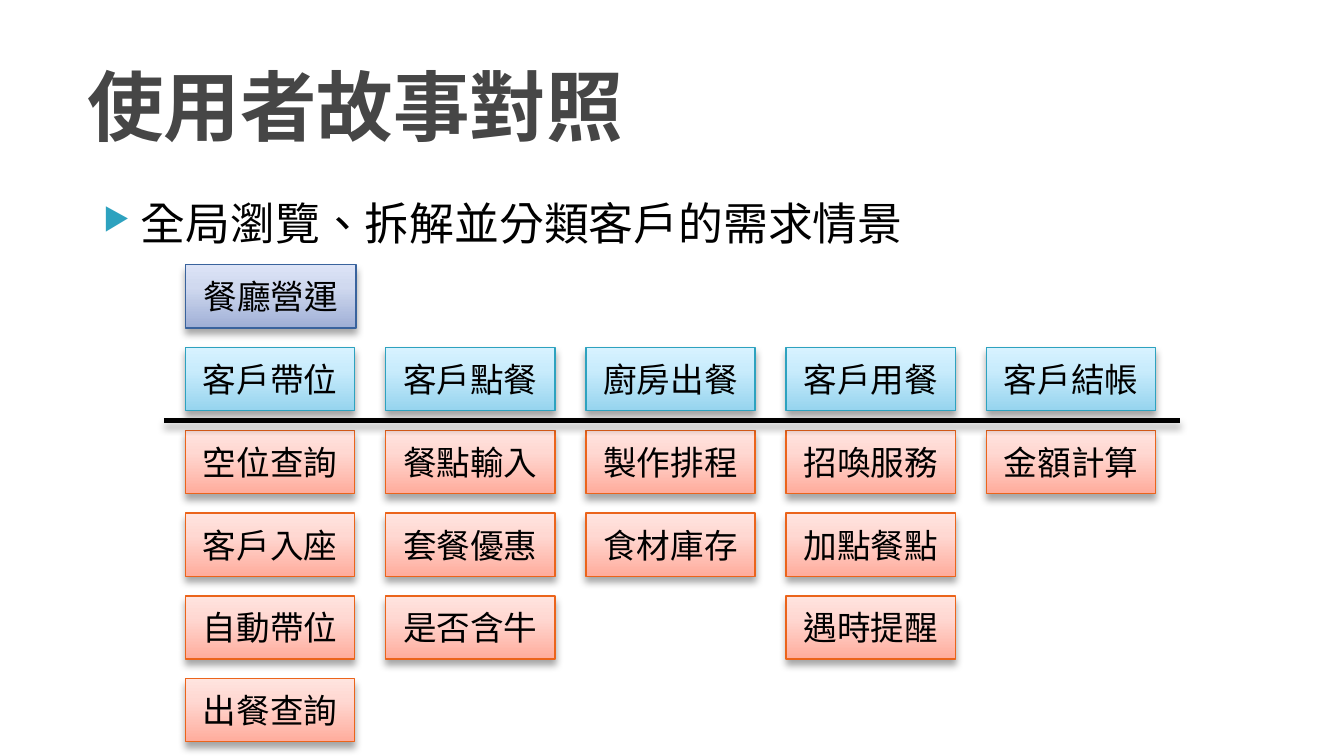
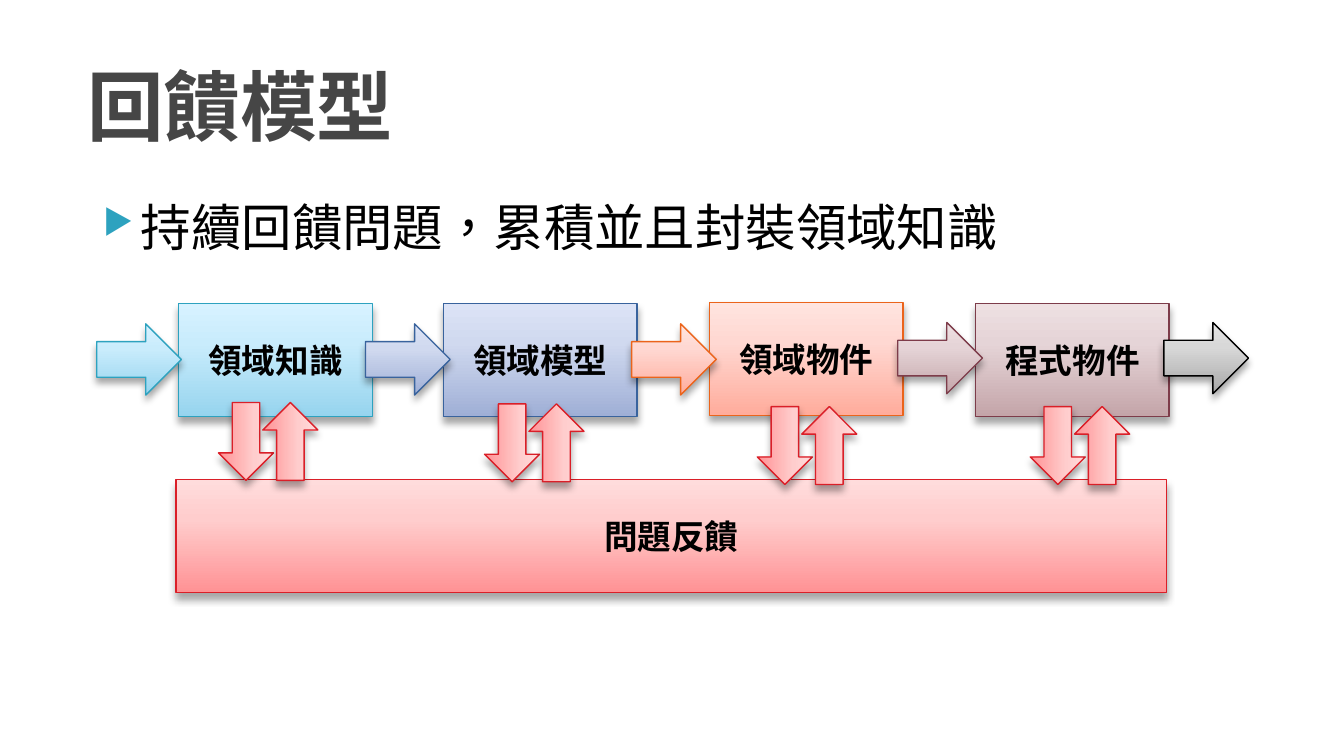
from pptx import Presentation
from pptx.dml.color import RGBColor
from pptx.enum.shapes import MSO_CONNECTOR as CONNECTOR, MSO_SHAPE as SHAPE
from pptx.enum.text import MSO_ANCHOR as ANCHOR, PP_ALIGN as ALIGN
from pptx.oxml import parse_xml
from pptx.oxml.ns import nsdecls, qn
from pptx.util import Inches, Pt

FONT = "Courier New"
LANGUAGE = "zh-TW"
BLACK = RGBColor(0x00, 0x00, 0x00)
TITLE_GREY = RGBColor(0x46, 0x46, 0x46)
BULLET_TEAL = RGBColor(0x2D, 0xA2, 0xBF)


def scheme(line, *stops):
    """Return a line colour with the gradient colours from bottom to top."""
    return RGBColor.from_string(line), [RGBColor.from_string(stop) for stop in stops]


TEAL = scheme("2DA2BF", "96D4EE", "C9ECFC", "D7F2FF")
BLUE = scheme("39639D", "9FAFD6", "D0D9EF", "DCE3F6")
ORANGE = scheme("EB641B", "FFAC9C", "FFD8D2", "FFE4DF")
PLUM = scheme("7D3C4A", "C4A5A9", "E5D4D7", "EEE0E2")
GREY = scheme("000000", "A7A7A7", "D8D8D8", "E4E4E4")
RED = scheme("DA1F28", "FF9294", "FFCDCD", "FFDCDC")
STOP_PLACES = (0, 65, 100)

STORY_COLUMNS = [
    ("客戶帶位", ["空位查詢", "客戶入座", "自動帶位", "出餐查詢"]),
    ("客戶點餐", ["餐點輸入", "套餐優惠", "是否含牛"]),
    ("廚房出餐", ["製作排程", "食材庫存"]),
    ("客戶用餐", ["招喚服務", "加點餐點", "遇時提醒"]),
    ("客戶結帳", ["金額計算"]),
]

STAGES = [
    ("領域知識", TEAL, 0.61, 0.01, 0.00, 0.82, 0.83),
    ("領域模型", BLUE, 2.58, 0.01, 2.00, 2.80, 0.84),
    ("領域物件", ORANGE, 4.56, 0.00, 3.98, 4.83, 0.86),
    ("程式物件", PLUM, 6.54, 0.01, 5.96, 6.86, 0.86),
]


def write_text(frame, text, size=18, color=BLACK, bold=False, align=ALIGN.LEFT,
               anchor=ANCHOR.MIDDLE):
    """Write one formatted paragraph into a text frame and return it."""
    frame.word_wrap = True
    frame.vertical_anchor = anchor
    para = frame.paragraphs[0]
    para.alignment = align
    span = para.add_run()
    span.text = text
    span.font.name, span.font.size, span.font.bold = FONT, Pt(size), bold
    span.font.color.rgb = color
    span._r.get_or_add_rPr().set("lang", LANGUAGE)
    return para


def add_shadow(shape):
    """Add the soft downward shadow that every figure has."""
    shape._element.spPr.append(parse_xml(
        f'<a:effectLst {nsdecls("a")}><a:outerShdw blurRad="{Pt(4)}" dist="{Pt(3)}" '
        f'dir="5400000" rotWithShape="0"><a:srgbClr val="{BLACK}">'
        '<a:alpha val="35000"/></a:srgbClr></a:outerShdw></a:effectLst>'))


def add_figure(page, kind, colors, left, top, width, height, text="", bold=False):
    """Add a gradient shape with a thin outline and optional centred text."""
    shape = page.shapes.add_shape(kind, Inches(left), Inches(top),
                                  Inches(width), Inches(height))
    line, shades = colors
    shape.fill.gradient()
    shape.fill.gradient_angle = 90
    gradient = shape._element.spPr.find(qn("a:gradFill"))
    stops = "".join(f'<a:gs pos="{place * 1000}"><a:srgbClr val="{shade}"/></a:gs>'
                    for place, shade in zip(STOP_PLACES, shades))
    gradient.replace(gradient.find(qn("a:gsLst")),
                     parse_xml(f'<a:gsLst {nsdecls("a")}>{stops}</a:gsLst>'))
    shape.line.color.rgb = line
    shape.line.width = Pt(0.75)
    add_shadow(shape)
    if text:
        write_text(shape.text_frame, text, bold=bold, align=ALIGN.CENTER)
    return shape


def add_page(deck, title, point, size, height):
    """Add a page with its title and one bulleted point."""
    page = deck.slides.add_slide(deck.slide_layouts[5])
    heading = page.shapes.title
    heading.left, heading.top = Inches(0.55), Inches(0.31)
    heading.width, heading.height = Inches(8.52), Inches(0.94)
    write_text(heading.text_frame, title, size=41, color=TITLE_GREY, bold=True)
    box = page.shapes.add_textbox(Inches(0.55), Inches(1.41), Inches(9), Inches(height))
    para = write_text(box.text_frame, point, size=size, anchor=ANCHOR.TOP)
    props = para._p.get_or_add_pPr()
    props.set("marL", str(Inches(0.4)))
    props.set("indent", str(Inches(-0.28)))
    for tag in (f'buClr {nsdecls("a")}><a:srgbClr val="{BULLET_TEAL}"/></a:buClr',
                f'buSzPct {nsdecls("a")} val="68000"/',
                f'buChar {nsdecls("a")} char="▶"/'):
        props.append(parse_xml(f"<a:{tag}>"))
    return page


def add_story_map(page, left, top):
    """Lay out the story cards in columns below the overall goal."""
    width, height, column_step, row_step = 1.26, 0.47, 1.49, 3.08 / 5
    add_figure(page, SHAPE.RECTANGLE, BLUE, left, top, 1.27, height, "餐廳營運")
    for column, (activity, stories) in enumerate(STORY_COLUMNS):
        for row, label in enumerate([activity, *stories], start=1):
            add_figure(page, SHAPE.RECTANGLE, TEAL if row == 1 else ORANGE,
                       left + column * column_step, top + row * row_step,
                       width, height, label)
    divider = page.shapes.add_connector(
        CONNECTOR.STRAIGHT, Inches(left - 0.16), Inches(top + 1.16),
        Inches(left + 7.4), Inches(top + 1.16))
    divider.line.color.rgb = BLACK
    divider.line.width = Pt(2.5)
    add_shadow(divider)


def add_flow_arrow(page, colors, left, top):
    """Add an arrow that leads from one stage to the next."""
    add_figure(page, SHAPE.RIGHT_ARROW, colors, left, top, 0.63, 0.53)


def add_feedback_pair(page, left, top):
    """Add a downward and an upward arrow side by side."""
    for offset, turn in ((0, 90), (0.33, 270)):
        arrow = add_figure(page, SHAPE.RIGHT_ARROW, RED, left + offset, top, 0.58, 0.41)
        arrow.rotation = turn
        if turn == 270:
            arrow._element.spPr.find(qn("a:xfrm")).set("flipV", "1")


def add_feedback_model(page, left, top):
    """Lay out the stages, their flow arrows and the shared feedback bar."""
    add_figure(page, SHAPE.RECTANGLE, RED, left + 0.59, top + 1.32, 7.37, 0.84,
               "問題反饋", bold=True)
    for label, colors, box_left, box_top, *_ in STAGES:
        add_figure(page, SHAPE.RECTANGLE, colors, left + box_left, top + box_top,
                   1.44, 0.84, label, bold=True)
    for _, colors, _, _, arrow_left, pair_left, pair_top in STAGES:
        add_flow_arrow(page, colors, left + arrow_left,
                       top + (0.15 if colors is PLUM else 0.16))
        add_feedback_pair(page, left + pair_left, top + pair_top)
    add_flow_arrow(page, GREY, left + 7.94, top + 0.15)


def main():
    """Build and save the deck."""
    deck = Presentation()
    deck.slide_width = Inches(10)
    deck.slide_height = Inches(10) * 9 // 16
    story_page = add_page(deck, "使用者故事對照",
                          "全局瀏覽、拆解並分類客戶的需求情景", 24, 3.08)
    add_story_map(story_page, 1.38, 1.97)
    model_page = add_page(deck, "回饋模型",
                          "持續回饋問題，累積並且封裝領域知識", 27, 0.54)
    add_feedback_model(model_page, 0.72, 2.25)
    deck.save("out.pptx")


if __name__ == "__main__":
    main()
